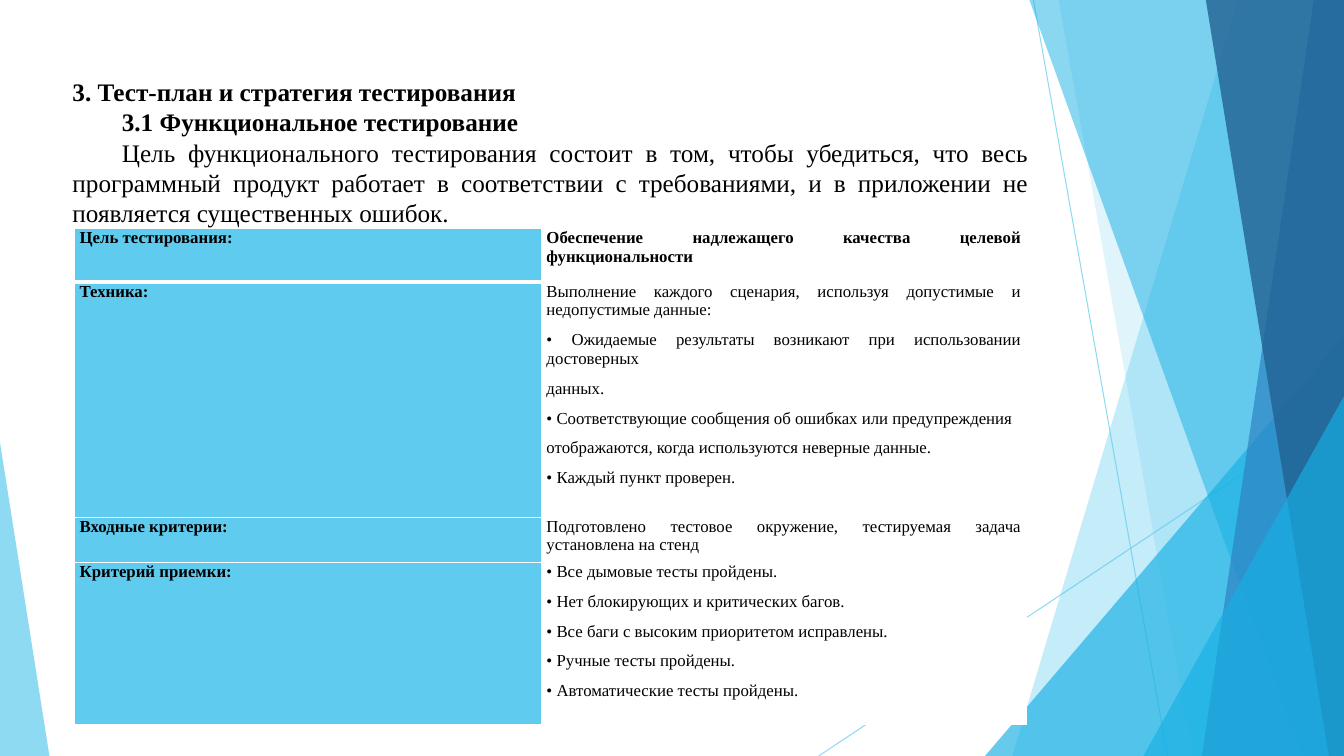
from lxml import etree
from pptx import Presentation
from pptx.dml.color import RGBColor
from pptx.enum.shapes import MSO_CONNECTOR, MSO_SHAPE
from pptx.enum.text import MSO_ANCHOR, PP_ALIGN
from pptx.oxml.ns import qn
from pptx.util import Inches, Pt

LINE = MSO_CONNECTOR.STRAIGHT
TRIANGLE = MSO_SHAPE.ISOSCELES_TRIANGLE
JUSTIFY = PP_ALIGN.JUSTIFY
TOP = MSO_ANCHOR.TOP

WIDTH, HEIGHT = 13.33, 7.5
COLORS = {
    "sky": "5FCBEF",
    "cyan": "17B0E4",
    "blue": "2E83C3",
    "navy": "226292",
    "white": "FFFFFF",
    "black": "000000",
}
FONT = "Times New Roman"

RAYS = [((10.25, 0), (11.58, HEIGHT)), ((WIDTH, 4.03), (8.12, HEIGHT))]
BANDS_BACK = [(12.28, 10.04, "sky", 36), (10.5, 11.83, "sky", 20)]
BANDS_FRONT = [
    (10.21, 12.91, "cyan", 50),
    (13.03, 11.92, "blue", 70),
    (11.96, 13.18, "navy", 80),
]
INTRO = [
    ("3. Тест-план и стратегия тестирования", True, 0),
    ("3.1 Функциональное тестирование", True, 0.49),
    ("Цель функционального тестирования состоит в том, чтобы убедиться, что весь "
     "программный продукт работает в соответствии с требованиями, и в приложении не "
     "появляется существенных ошибок.", False, 0.49),
]
PLAN = [
    ("Цель тестирования:", 0.53,
     ["Обеспечение надлежащего качества целевой функциональности"]),
    ("Техника:", 2.33, [
        "Выполнение каждого сценария, используя допустимые и недопустимые данные:",
        "• Ожидаемые результаты возникают при использовании достоверных",
        "данных.",
        "• Соответствующие сообщения об ошибках или предупреждения",
        "отображаются, когда используются неверные данные.",
        "• Каждый пункт проверен.",
    ]),
    ("Входные критерии:", 0.45,
     ["Подготовлено тестовое окружение, тестируемая задача установлена на стенд"]),
    ("Критерий приемки:", 1.61, [
        "• Все дымовые тесты пройдены.",
        "• Нет блокирующих и критических багов.",
        "• Все баги с высоким приоритетом исправлены.",
        "• Ручные тесты пройдены.",
        "• Автоматические тесты пройдены.",
    ]),
]


class Deck:
    """Holds the style and the current slide."""

    def __init__(self):
        self.prs = Presentation()
        self.prs.slide_width, self.prs.slide_height = Inches(WIDTH), Inches(HEIGHT)
        self.s = self.prs.slides.add_slide(self.prs.slide_layouts[6])

    def apply(self, obj, formats):
        for name, value in formats.items():
            setattr(obj, name, value)

    def paint(self, fill, color, alpha=100):
        fill.solid()
        fill.fore_color.rgb = RGBColor.from_string(COLORS[color])
        if alpha < 100:
            srgb = fill._xPr.find(".//" + qn("a:srgbClr"))
            etree.SubElement(srgb, qn("a:alpha"), val=str(alpha * 1000))

    def finish(self, sp, color, alpha):
        sp.shadow.inherit = False
        self.paint(sp.fill, color, alpha)
        sp.line.fill.background()

    def ray(self, start, end):
        sp = self.s.shapes.add_connector(LINE, *map(Inches, start + end))
        sp.line.width = Pt(0.75)
        self.paint(sp.line.fill, "sky", 70)
        etree.SubElement(sp._element.spPr, qn("a:effectLst"))

    def band(self, top, bottom, color, alpha):
        corners = [(top, 0), (WIDTH, 0), (WIDTH, HEIGHT), (bottom, HEIGHT)]
        points = [(Inches(x), Inches(y)) for x, y in corners]
        fb = self.s.shapes.build_freeform(*points[0])
        fb.add_line_segments(points[1:])
        self.finish(fb.convert_to_shape(), color, alpha)

    def triangle(self, left, top, width, apex, color, alpha):
        box = map(Inches, (left, top, width, HEIGHT - top))
        sp = self.s.shapes.add_shape(TRIANGLE, *box)
        sp.adjustments[0] = apex
        self.finish(sp, color, alpha)

    def paragraph(self, tf, first, text, size, bold, **formats):
        p = tf.paragraphs[0] if first else tf.add_paragraph()
        self.apply(p, {"alignment": JUSTIFY, **formats})
        r = p.add_run()
        r.text = text
        self.apply(r.font, {"name": FONT, "size": Pt(size), "bold": bold})
        r.font.color.rgb = RGBColor.from_string(COLORS["black"])
        return p

    def text(self, box, items):
        tf = self.s.shapes.add_textbox(*map(Inches, box)).text_frame
        tf.word_wrap = True
        for i, (text, bold, indent) in enumerate(items):
            p = self.paragraph(tf, i == 0, text, 18, bold)
            if indent:
                p._p.get_or_add_pPr().set("indent", str(Inches(indent)))

    def borders(self, cell, widths):
        tcPr = cell._tc.get_or_add_tcPr()
        for i, (side, width) in enumerate(widths.items()):
            ln = etree.Element(qn("a:ln" + side), w=str(Pt(width)))
            fill = etree.SubElement(ln, qn("a:solidFill"))
            etree.SubElement(fill, qn("a:srgbClr"), val=COLORS["white"])
            tcPr.insert(i, ln)

    def cell(self, cell, texts, bold, color, widths):
        self.apply(cell, {"margin_left": Inches(0.05), "margin_right": Inches(0.05),
                          "margin_top": 0, "margin_bottom": 0, "vertical_anchor": TOP})
        for i, text in enumerate(texts):
            after = Pt(8 if i < len(texts) - 1 else 0)
            self.paragraph(cell.text_frame, i == 0, text, 12, bold, space_after=after)
        self.paint(cell.fill, color)
        self.borders(cell, widths)

    def table(self, left, top, col_widths, rows):
        height = sum(row[1] for row in rows)
        box = map(Inches, (left, top, sum(col_widths), height))
        table = self.s.shapes.add_table(len(rows), len(col_widths), *box).table
        table.horz_banding = False
        for column, width in zip(table.columns, col_widths):
            column.width = Inches(width)
        for i, (label, row_height, texts) in enumerate(rows):
            table.rows[i].height = Inches(row_height)
            widths = {"L": 1, "R": 1, "T": 3 if i == 1 else 1, "B": 3 if i == 0 else 1}
            self.cell(table.cell(i, 0), [label], True, "sky", widths)
            self.cell(table.cell(i, 1), texts, i == 0, "white", widths)


def main():
    deck = Deck()
    for ray in RAYS:
        deck.ray(*ray)
    for band in BANDS_BACK:
        deck.band(*band)
    deck.triangle(9.77, 3.33, 3.56, 1, "cyan", 66)
    for band in BANDS_FRONT:
        deck.band(*band)
    deck.triangle(11.34, 3.93, 1.99, 1, "cyan", 66)
    deck.triangle(0, 4.39, 0.49, 0, "sky", 70)
    deck.text((0.62, 0.71, 9.68, 1.88), INTRO)
    deck.table(0.74, 2.27, (4.63, 4.81), PLAN)
    deck.prs.save("out.pptx")


if __name__ == "__main__":
    main()
